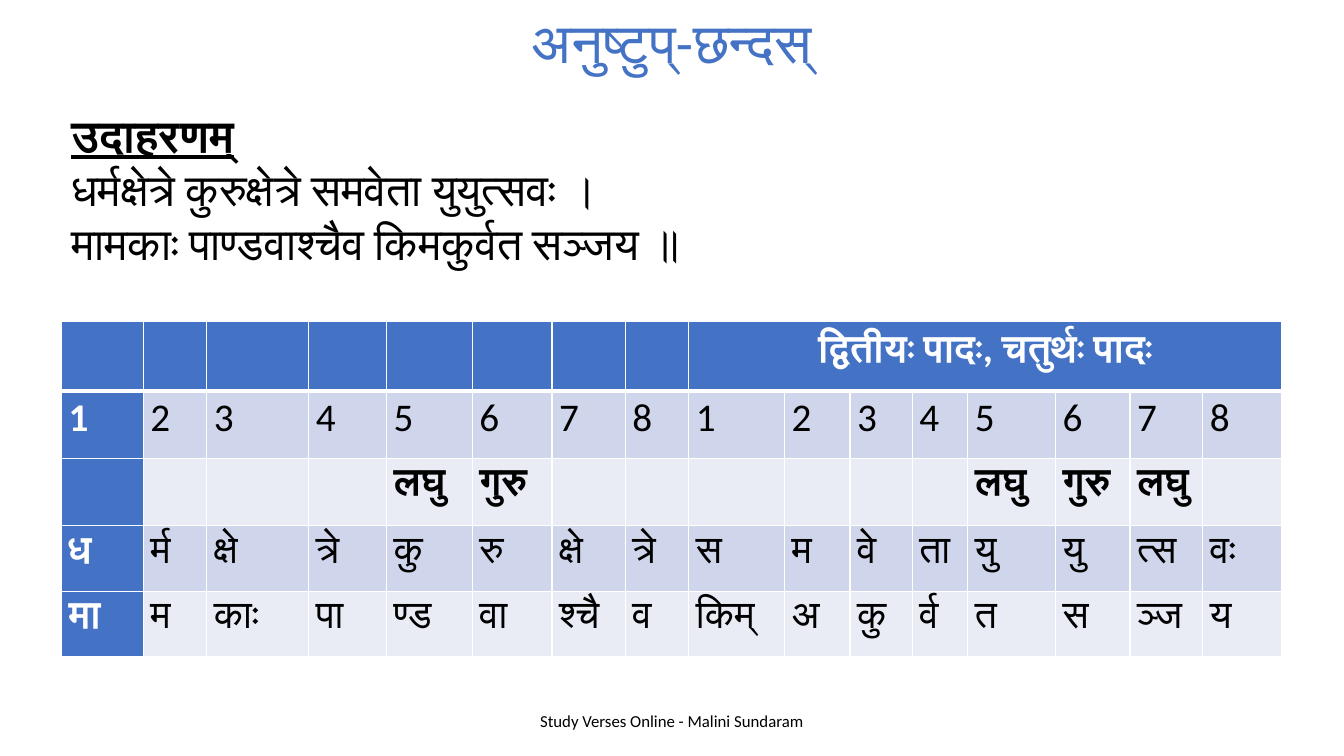
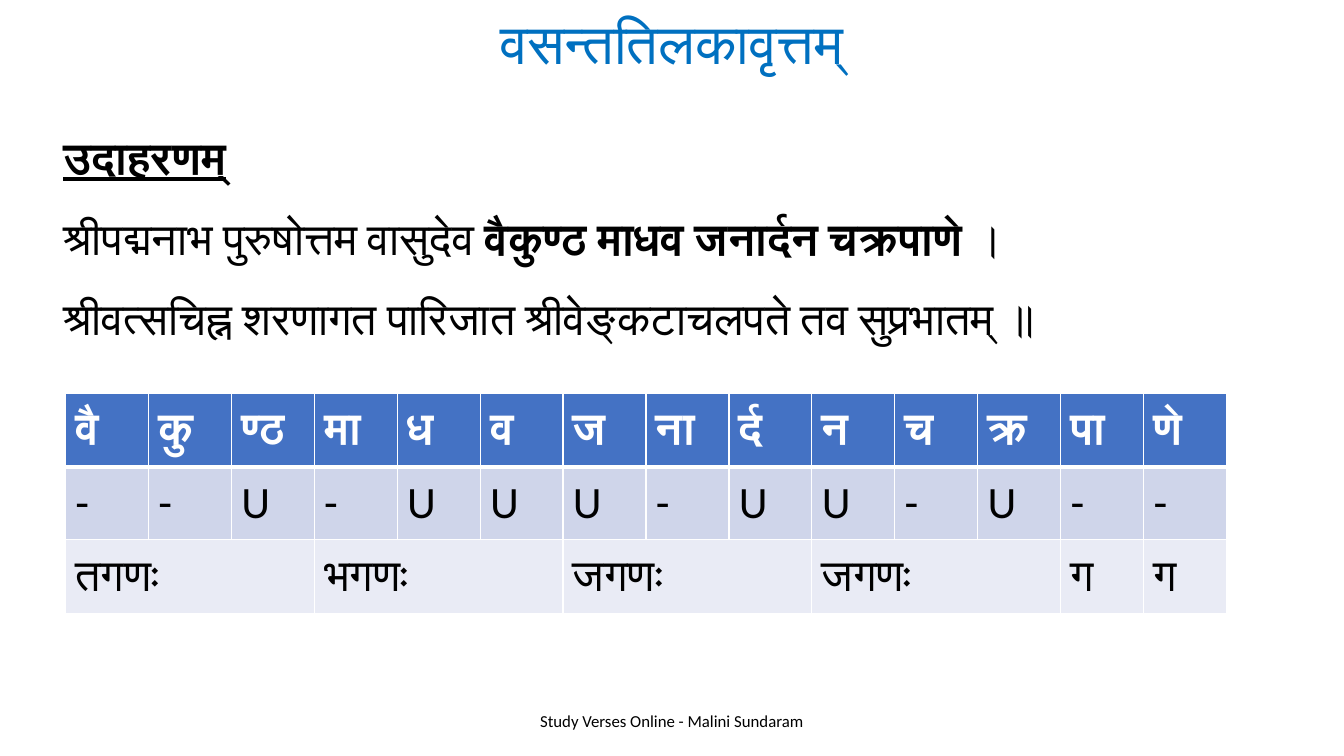
from lxml.etree import SubElement
from pptx import Presentation
from pptx.dml.color import RGBColor
from pptx.enum.text import MSO_ANCHOR, MSO_AUTO_SIZE, PP_ALIGN
from pptx.oxml.ns import qn
from pptx.util import Cm, Pt

FONT = "Calibri"
HUES = {"head": "4472C4", "blue": "0070C0", "dark": "CFD5EA",
        "pale": "E9EBF5", "white": "FFFFFF", "black": "000000"}
FOOT = "Study Verses Online - Malini Sundaram"
HEAD = ("उदाहरणम्", True, True)

PAGES = [
    {
        "title": ("अनुष्टुप्-छन्दस्", "head", 0.9),
        "verse": {
            "box": (1.55, 2.57, 25.88, 4.37),
            "space": 1.0,
            "lines": [
                [HEAD],
                [("धर्मक्षेत्रे कुरुक्षेत्रे समवेता युयुत्सवः ।", False, False)],
                [("मामकाः पाण्डवाश्चैव किमकुर्वत सञ्जय ॥", False, False)],
            ],
        },
        "grid": {
            "at": (1.55, 8.1),
            "cols": [2.06, 1.6, 2.57, 1.96, 2.16, 2.01, 1.85, 1.6,
                     2.41, 1.65, 1.57, 1.4, 2.21, 1.88, 1.83, 2.0],
            "rows": [1.75, 1.7, 1.7, 1.65, 1.65],
            "pad": (0.18, 0),
            "size": 28,
            "side": True,
            "bold": (0, 2),
            "loose": (0, 1),
            "mid": (0,),
            "spans": {(0, 8): 8},
            "cells": [
                [""] * 8 + ["द्वितीयः पादः, चतुर्थः पादः"] + [""] * 7,
                list("12345678") * 2,
                [""] * 4 + ["लघु", "गुरु"] + [""] * 6 + ["लघु", "गुरु", "लघु", ""],
                ["ध", "र्म", "क्षे", "त्रे", "कु", "रु", "क्षे", "त्रे",
                 "स", "म", "वे", "ता", "यु", "यु", "त्स", "वः"],
                ["मा", "म", "काः", "पा", "ण्ड", "वा", "श्चै", "व",
                 "किम्", "अ", "कु", "र्व", "त", "स", "ञ्ज", "य"],
            ],
        },
    },
    {
        "title": ("वसन्ततिलकावृत्तम्", "blue", 1.0),
        "verse": {
            "box": (1.35, 3.2, 32.11, 5.56),
            "space": 1.5,
            "lines": [
                [HEAD],
                [("श्रीपद्मनाभ पुरुषोत्तम वासुदेव ", False, False),
                 ("वैकुण्ठ माधव जनार्दन चक्रपाणे ", True, False),
                 ("।", False, False)],
                [("श्रीवत्सचिह्न शरणागत पारिजात श्रीवेङ्कटाचलपते तव सुप्रभातम् ॥",
                  False, False)],
            ],
        },
        "grid": {
            "at": (1.65, 9.91),
            "cols": [2.09] * 14,
            "rows": [1.85, 1.84, 1.85],
            "pad": (0.25, 0.13),
            "size": 32,
            "side": False,
            "bold": (0,),
            "loose": (0, 1, 2),
            "mid": (),
            "spans": {(2, col): 3 for col in range(0, 12, 3)},
            "cells": [
                ["वै", "कु", "ण्ठ", "मा", "ध", "व", "ज",
                 "ना", "र्द", "न", "च", "क्र", "पा", "णे"],
                list("--U-UUU-UU-U--"),
                ["तगणः", "", "", "भगणः", "", "", "जगणः", "", "",
                 "जगणः", "", "", "ग", "ग"],
            ],
        },
    },
]


def hue(name):
    return RGBColor.from_string(HUES[name])


def add_run(para, text, size, color="black", bold=False, under=False):
    run = para.add_run()
    run.text = text
    font = run.font
    font.size, font.bold, font.underline = Pt(size), bold, under
    font.color.rgb = hue(color)
    font.name = FONT
    SubElement(run._r.get_or_add_rPr(), qn("a:cs"), typeface=FONT)


def add_title(slide, text, color, space):
    shape = slide.shapes.title
    shape.left, shape.top, shape.width, shape.height = map(Cm, (4.23, -0.58, 25.4, 2.62))
    frame = shape.text_frame
    frame.auto_size = MSO_AUTO_SIZE.NONE
    frame.vertical_anchor = MSO_ANCHOR.BOTTOM
    para = frame.paragraphs[0]
    para.alignment, para.line_spacing = PP_ALIGN.CENTER, space
    add_run(para, text, 40, color)


def add_box(slide, box):
    frame = slide.shapes.add_textbox(*map(Cm, box)).text_frame
    frame.word_wrap = True
    frame.vertical_anchor = MSO_ANCHOR.MIDDLE
    return frame


def add_foot(slide):
    para = add_box(slide, (11.22, 17.65, 11.43, 1.01)).paragraphs[0]
    para.alignment = PP_ALIGN.CENTER
    add_run(para, FOOT, 12)


def add_verse(slide, box, space, lines):
    frame = add_box(slide, box)
    frame.auto_size = MSO_AUTO_SIZE.SHAPE_TO_FIT_TEXT
    for num, line in enumerate(lines):
        para = frame.add_paragraph() if num else frame.paragraphs[0]
        para.line_spacing = space if num else 1.0
        for text, bold, under in line:
            add_run(para, text, 32, bold=bold, under=under)


def add_edges(cell, row):
    props = cell._tc.get_or_add_tcPr()
    thick = {"T": row == 1, "B": row == 0}
    for side in "LRTB":
        width = Pt(3 if thick.get(side) else 1)
        line = SubElement(props, qn("a:ln" + side), w=str(width))
        fill = SubElement(line, qn("a:solidFill"))
        SubElement(fill, qn("a:srgbClr"), val=HUES["white"])


def add_grid(slide, grid):
    cols, rows = grid["cols"], grid["rows"]
    size = map(Cm, (*grid["at"], sum(cols), sum(rows)))
    table = slide.shapes.add_table(len(rows), len(cols), *size).table
    for part, width in zip(table.columns, cols):
        part.width = Cm(width)
    for part, height in zip(table.rows, rows):
        part.height = Cm(height)
    for row, texts in enumerate(grid["cells"]):
        for col, text in enumerate(texts):
            cell = table.cell(row, col)
            head = row == 0 or (grid["side"] and col == 0)
            add_edges(cell, row)
            cell.fill.solid()
            cell.fill.fore_color.rgb = hue("head" if head else "dark" if row % 2 else "pale")
            cell.margin_left = cell.margin_right = Cm(grid["pad"][0])
            cell.margin_top = cell.margin_bottom = Cm(grid["pad"][1])
            if text:
                para = cell.text_frame.paragraphs[0]
                para.line_spacing = 1.07 if row in grid["loose"] else 1.0
                para.alignment = PP_ALIGN.CENTER if row in grid["mid"] else PP_ALIGN.LEFT
                add_run(para, text, grid["size"], "white" if head else "black",
                        head or row in grid["bold"])
    for (row, col), span in grid["spans"].items():
        table.cell(row, col).merge(table.cell(row, col + span - 1))


def main():
    deck = Presentation()
    deck.slide_width, deck.slide_height = Cm(33.87), Cm(19.05)
    for page in PAGES:
        slide = deck.slides.add_slide(deck.slide_layouts[5])
        add_foot(slide)
        add_title(slide, *page["title"])
        add_grid(slide, page["grid"])
        add_verse(slide, **page["verse"])
    deck.save("out.pptx")


if __name__ == "__main__":
    main()
